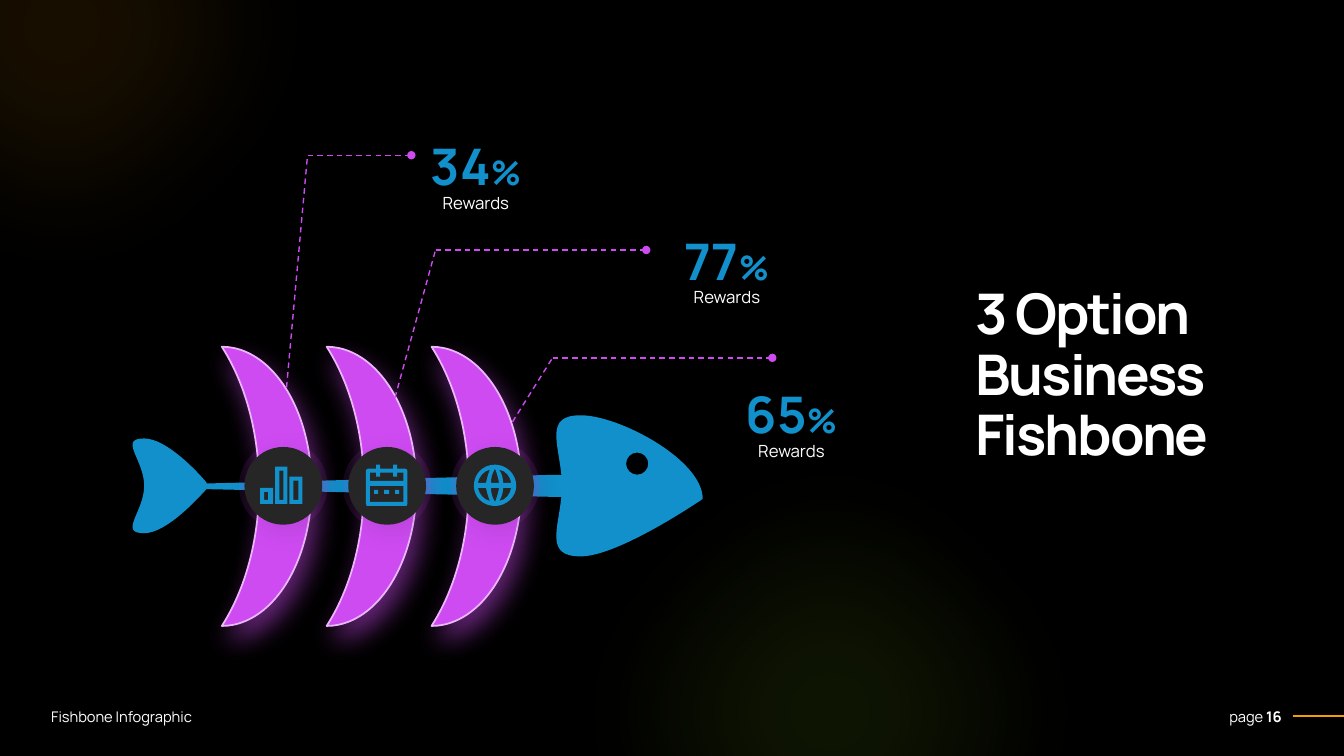
"""Build the three-option fishbone slide."""
from pptx import Presentation
from pptx.dml.color import RGBColor
from pptx.enum.dml import MSO_LINE
from pptx.enum.shapes import MSO_CONNECTOR as Wire, MSO_SHAPE as Preset
from pptx.enum.text import MSO_ANCHOR as Anchor, MSO_AUTO_SIZE as AutoSize, PP_ALIGN as Align
from pptx.oxml.ns import qn
from pptx.util import Inches, Pt
from lxml.etree import SubElement

WIDTH, HEIGHT = 13.33, 7.5
FONT = "Manrope"
COLORS = {"black": "000000", "white": "FFFFFF", "blue": "1190CB", "violet": "CE4BF2",
          "lilac": "EBB7FA", "dark": "262626", "orange": "F29F05", "green": "9FD923"}

TITLE = "3 Option Business Fishbone"
FOOTER = "Fishbone Infographic"
PAGE = ("page ", "16")
GLOWS = [("green", (4.84, 3.67, 6.79, 6.79)), ("orange", (-2.78, -3.16, 6.79, 6.83))]
CALLOUTS = [
    {"value": "65", "at": (7.21, 3.75), "route": [(4.93, 4.43), (5.48, 3.55), (7.66, 3.55)]},
    {"value": "77", "at": (6.57, 2.23), "route": [(3.79, 4.41), (4.32, 2.48), (6.41, 2.48)]},
    {"value": "34", "at": (4.08, 1.29), "route": [(2.79, 4.42), (3.05, 1.54), (4.08, 1.54)]},
]
LABEL = "Rewards"

# M, L, C, R = move, line, curve, rectangle, in hundredths of an inch
FISH = [
    "M 143 435 C 165 435 196 468 205 479 L 205 485 C 196 495 165 529 143 529 "
    "C 117 529 143 508 143 482 C 143 456 117 435 143 435",
    "M 557 491 C 554 525 540 552 576 552 C 614 552 697 495 697 495 C 697 456 614 412 576 412 "
    "C 540 412 554 439 557 473 L 545 473 545 491 "
    "M 621 460 C 621 454 626 449 632 449 C 638 449 643 454 643 460 "
    "C 643 466 638 471 632 471 C 626 471 621 466 621 460",
    "M 567 472 C 562 472 557 471 552 471 L 192 480 192 485 552 493 C 557 493 562 493 567 493",
]
BARS = "R 21 46 34 62 R 50 35 63 62 R 36 25 48 62 R 25 50 29 58 R 40 29 44 58 R 54 39 59 58"
CALENDAR = (
    "M 54 27 L 62 27 C 63 27 64 28 64 29 L 64 62 C 64 64 63 64 62 64 L 25 64 "
    "C 24 64 23 64 23 62 L 23 29 C 23 28 24 27 25 27 L 33 27 33 23 37 23 37 27 50 27 50 23 54 23 "
    "R 27 44 60 60 M 50 31 L 37 31 37 35 33 35 33 31 27 31 27 39 60 39 60 31 54 31 54 35 50 35 "
    "R 31 48 35 52 R 41 48 46 52 R 52 48 56 52")
GLOBE = (
    "M 44 64 C 32 64 23 55 23 44 C 23 32 32 23 44 23 C 55 23 65 32 65 44 C 65 55 55 64 44 64 "
    "M 39 59 C 37 55 36 50 35 46 L 27 46 C 28 52 33 58 39 59 "
    "M 40 46 C 40 51 41 55 44 60 C 46 55 47 51 48 46 "
    "M 60 46 L 52 46 C 52 50 51 55 48 59 C 55 58 59 52 60 46 "
    "M 27 41 L 35 41 C 36 37 37 32 39 28 C 33 29 28 35 27 41 "
    "M 40 41 L 48 41 C 47 36 46 32 44 27 C 41 32 40 36 40 41 "
    "M 48 28 C 51 32 52 37 52 41 L 60 41 C 59 35 55 29 48 28")
BADGES = [(2.37, BARS), (3.40, CALENDAR), (4.47, GLOBE)]
BADGE_TOP, BADGE_SIZE, RIM = 4.38, 0.88, 0.07
RIB_LEFT, RIB_STEP, RIB_TOP, RIB_SIZE = 2.20, 1.04, 3.44, (0.89, 2.77)
RIB_ORDER = (1, 0, 2)


def rgb(name):
    return RGBColor.from_string(COLORS[name])


def segments(outline):
    found, numbers, command = [], [], ""
    needed = {"M": 2, "L": 2, "C": 6, "R": 4}
    for token in outline.split():
        if token in needed:
            command = token
            continue
        numbers.append(int(token))
        if len(numbers) < needed[command]:
            continue
        points = list(zip(numbers[::2], numbers[1::2]))
        numbers = []
        if command == "R":
            (left, top), (right, bottom) = points
            corners = [(left, top), (right, top), (right, bottom), (left, bottom)]
            found += [("ML"[index > 0], [corner]) for index, corner in enumerate(corners)]
        else:
            found.append((command, points))
    return found


def paint(shape, fill, alpha=None, line=None, weight=1):
    shape.fill.solid()
    shape.fill.fore_color.rgb = rgb(fill)
    if alpha:
        color = shape.element.spPr.find(qn("a:solidFill"))[0]
        SubElement(color, qn("a:alpha"), val=str(alpha * 1000))
    if line:
        shape.line.color.rgb = rgb(line)
        shape.line.width = Pt(weight)
    else:
        shape.line.fill.background()
    shape.shadow.inherit = False
    return shape


def add_effect(shape, kind, **settings):
    effects = shape.element.spPr.find(qn("a:effectLst"))
    return SubElement(effects, qn(kind), **{key: str(value) for key, value in settings.items()})


def add_shadow(shape, color, alpha, blur, distance, angle):
    shadow = add_effect(shape, "a:outerShdw", blurRad=Pt(blur), dist=Pt(distance),
                        dir=angle * 60000, algn="ctr", rotWithShape=0)
    tint = SubElement(shadow, qn("a:srgbClr"), val=COLORS[color])
    SubElement(tint, qn("a:alpha"), val=str(alpha * 1000))


def add_preset(shapes, preset, frame, **style):
    return paint(shapes.add_shape(preset, *map(Inches, frame)), **style)


def add_outline(shapes, outline, left=0, top=0):
    parts = segments(outline)
    columns, rows = zip(*(point for _, points in parts for point in points))
    x_min, y_min = min(columns), min(rows)
    builder = shapes.build_freeform(x_min, y_min, scale=Inches(0.01))
    builder.add_line_segments([(max(columns), max(rows))])
    shape = builder.convert_to_shape(Inches(left), Inches(top))
    route = next(shape.element.iter(qn("a:path")))
    for child in list(route):
        route.remove(child)
    tags = {"M": "a:moveTo", "L": "a:lnTo", "C": "a:cubicBezTo"}
    for index, (command, points) in enumerate(parts):
        if index and command == "M":
            SubElement(route, qn("a:close"))
        step = SubElement(route, qn(tags[command]))
        for x, y in points:
            SubElement(step, qn("a:pt"), x=str(x - x_min), y=str(y - y_min))
    SubElement(route, qn("a:close"))
    return paint(shape, "blue")


def add_line(shapes, start, end, color, weight, dash=False, dot=False):
    line = shapes.add_connector(Wire.STRAIGHT, *map(Inches, (*start, *end)))
    line.line.color.rgb = rgb(color)
    line.line.width = Pt(weight)
    if dash:
        line.line.dash_style = MSO_LINE.DASH
    if dot:
        SubElement(line.element.spPr.find(qn("a:ln")), qn("a:tailEnd"), type="oval")
    SubElement(line.element.spPr, qn("a:effectLst"))


def add_text(shapes, frame, spans, color="white", align=Align.LEFT, anchor=Anchor.TOP,
             leading=None, tracking=None):
    box = shapes.add_textbox(*map(Inches, frame)).text_frame
    box.word_wrap, box.auto_size = True, AutoSize.SHAPE_TO_FIT_TEXT
    box.vertical_anchor = anchor
    para = box.paragraphs[0]
    para.alignment, para.line_spacing = align, leading
    for words, size, bold in spans:
        span = para.add_run()
        span.text = words
        span.font.name, span.font.size, span.font.bold = FONT, Pt(size), bold
        span.font.color.rgb = rgb(color)
        if tracking:
            span._r.get_or_add_rPr().set("spc", str(round(tracking * 100)))


def add_fish(shapes):
    fish = shapes.add_group_shape().shapes
    for outline in FISH:
        add_outline(fish, outline)
    for column in RIB_ORDER:
        rib = add_preset(fish, Preset.MOON, (RIB_LEFT + column * RIB_STEP, RIB_TOP, *RIB_SIZE),
                         fill="violet", line="lilac", weight=1.25)
        rib.rotation, rib.adjustments[0] = 180, 0.585
        add_shadow(rib, "violet", 50, 19, 10, 68)
    for left, icon in BADGES:
        badge = shapes.add_group_shape().shapes
        add_preset(badge, Preset.OVAL, (left, BADGE_TOP, BADGE_SIZE, BADGE_SIZE),
                   fill="violet", alpha=10)
        inner = BADGE_SIZE - 2 * RIM
        disc = add_preset(badge, Preset.OVAL, (left + RIM, BADGE_TOP + RIM, inner, inner),
                          fill="dark", line="dark", weight=2.25)
        add_shadow(disc, "black", 10, 19, 6, 45)
        add_outline(badge, icon, left, BADGE_TOP)


def add_callout(shapes, value, at, route):
    foot, bend, end = route
    leader = shapes.add_group_shape().shapes
    add_line(leader, bend, end, "violet", 1, dash=True, dot=True)
    add_line(leader, foot, bend, "violet", 1, dash=True)
    left, top = at
    figure = shapes.add_group_shape().shapes
    add_text(figure, (left, top, 1.28, 0.71), [(value, 36, True), ("%", 24, True)],
             color="blue", align=Align.CENTER)
    add_text(figure, (left, top + 0.53, 1.28, 0.34), [(LABEL, 12, False)],
             align=Align.CENTER, leading=1.2)


def main():
    deck = Presentation()
    deck.slide_width, deck.slide_height = Inches(WIDTH), Inches(HEIGHT)
    page = deck.slides.add_slide(deck.slide_layouts[6])
    page.background.fill.solid()
    page.background.fill.fore_color.rgb = rgb("black")
    shapes = page.shapes
    add_text(shapes, (11.8, 6.97, 1.01, 0.28), [(PAGE[0], 10.5, False), (PAGE[1], 10.5, True)],
             align=Align.RIGHT, anchor=Anchor.MIDDLE)
    add_text(shapes, (0.41, 6.97, 2.31, 0.28), [(FOOTER, 10.5, False)], anchor=Anchor.MIDDLE)
    add_line(shapes, (12.82, 7.1), (WIDTH, 7.1), "orange", 1.25)
    for color, frame in GLOWS:
        glow = add_preset(shapes, Preset.OVAL, frame, fill=color, alpha=10)
        add_effect(glow, "a:softEdge", rad=Pt(100))
    add_fish(shapes)
    for callout in CALLOUTS:
        add_callout(shapes, **callout)
    add_text(shapes, (9.58, 2.79, 2.78, 1.92), [(TITLE, 40, True)], leading=0.9, tracking=-1.5)
    deck.save("out.pptx")


if __name__ == "__main__":
    main()
